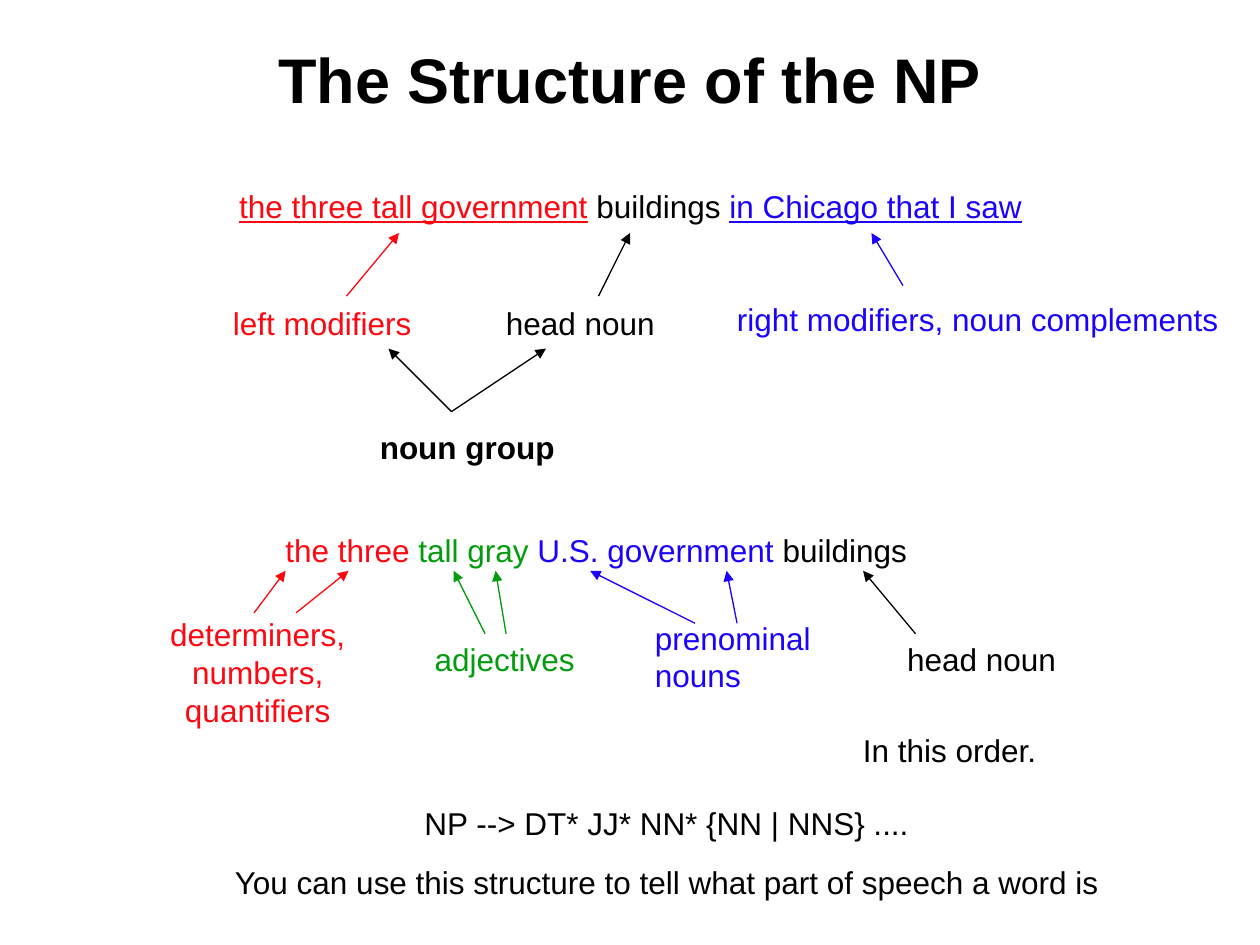
from dataclasses import dataclass
from typing import NamedTuple

from lxml.etree import SubElement
from pptx import Presentation
from pptx.dml.color import RGBColor
from pptx.enum.shapes import MSO_CONNECTOR as Connector
from pptx.enum.text import MSO_ANCHOR as Anchor
from pptx.enum.text import MSO_AUTO_SIZE as AutoSize
from pptx.enum.text import PP_ALIGN as Align
from pptx.oxml.ns import qn
from pptx.slide import Slide
from pptx.util import Pt


@dataclass(frozen=True)
class Theme:
    font: str = "Arial"
    black: str = "000000"
    red: str = "FF0710"
    green: str = "039C0D"
    blue: str = "1B02FF"
    title_size: float = 36
    body_size: float = 18
    line_height: float = 21.6
    inset_height: float = 7.2
    arrow_width: float = 0.75


THEME = Theme()


class Span(NamedTuple):
    text: str
    color: str = THEME.black
    underline: bool = False


class Label(NamedTuple):
    left: float
    top: float
    width: float
    lines: list[list[Span]]
    align: Align = Align.LEFT
    bold: bool = False
    gap: float = 0


class Arrow(NamedTuple):
    start_x: float
    start_y: float
    tip_x: float
    color: str


class ArrowRow(NamedTuple):
    tip_y: float
    arrows: list[Arrow]


def plain(color: str, *texts: str) -> list[list[Span]]:
    return [[Span(text, color)] for text in texts]


LABELS = [
    Label(129.6, 103.4, 463, [[
        Span("the three tall government", THEME.red, True),
        Span(" buildings "),
        Span("in Chicago that I saw", THEME.blue, True),
    ]]),
    Label(126, 170, 118, plain(THEME.red, "left modifiers")),
    Label(414, 167.8, 291, plain(THEME.blue, "right modifiers, noun complements")),
    Label(282, 170, 101, plain(THEME.black, "head noun")),
    Label(210, 241.2, 116, plain(THEME.black, "noun group"), bold=True),
    Label(156, 300, 371, [[
        Span("the three", THEME.red),
        Span(" tall gray ", THEME.green),
        Span("U.S. government", THEME.blue),
        Span(" buildings"),
    ]]),
    Label(89, 348, 116.5, plain(THEME.red, "determiners,", "numbers,", "quantifiers"),
          Align.CENTER),
    Label(241.2, 362, 96, plain(THEME.green, "adjectives")),
    Label(367.2, 350, 105, plain(THEME.blue, "prenominal", "nouns")),
    Label(511.2, 362, 101, plain(THEME.black, "head noun")),
    Label(486, 414, 116, plain(THEME.black, "In this order.")),
    Label(125, 456, 512, plain(
        THEME.black,
        "NP --> DT* JJ* NN* {NN | NNS} ....",
        "You can use this structure to tell what part of speech a word is",
    ), Align.CENTER, gap=12),
]

ARROW_ROWS = [
    ArrowRow(133.2, [
        Arrow(198, 169.2, 228, THEME.red),
        Arrow(342, 169.2, 360, THEME.black),
        Arrow(516, 163.2, 498, THEME.blue),
    ]),
    ArrowRow(199.2, [
        Arrow(258, 235.2, 222, THEME.black),
        Arrow(258, 235.2, 312, THEME.black),
    ]),
    ArrowRow(326.2, [
        Arrow(145.2, 350.2, 163.2, THEME.red),
        Arrow(169.2, 350.2, 199.2, THEME.red),
        Arrow(277.2, 362.2, 259.2, THEME.green),
        Arrow(289.2, 362.2, 283.2, THEME.green),
        Arrow(397.2, 356.2, 337.2, THEME.blue),
        Arrow(421.2, 356.2, 415.2, THEME.blue),
        Arrow(523.2, 362.2, 493.2, THEME.black),
    ]),
]


def draw_title(page: Slide, text: str) -> None:
    box = page.shapes.add_textbox(Pt(54), Pt(0), Pt(612), Pt(90))
    frame = box.text_frame
    frame.word_wrap = True
    frame.vertical_anchor = Anchor.MIDDLE
    para = frame.paragraphs[0]
    para.text = text
    para.alignment = Align.CENTER
    para.font.name = THEME.font
    para.font.size = Pt(THEME.title_size)
    para.font.bold = True
    para.font.color.rgb = RGBColor.from_string(THEME.black)


def draw_label(page: Slide, label: Label) -> None:
    count = len(label.lines)
    height = THEME.inset_height + count * THEME.line_height + (count - 1) * label.gap
    box = page.shapes.add_textbox(
        Pt(label.left), Pt(label.top), Pt(label.width), Pt(height)
    )
    frame = box.text_frame
    frame.word_wrap = False
    frame.auto_size = AutoSize.SHAPE_TO_FIT_TEXT
    for index, spans in enumerate(label.lines):
        para = frame.add_paragraph() if index else frame.paragraphs[0]
        para.alignment = label.align
        para.space_before = Pt(label.gap if index else 0)
        para.font.name = THEME.font
        para.font.size = Pt(THEME.body_size)
        para.font.bold = label.bold
        for span in spans:
            run = para.add_run()
            run.text = span.text
            run.font.underline = span.underline
            run.font.color.rgb = RGBColor.from_string(span.color)


def draw_arrow(page: Slide, arrow: Arrow, tip_y: float) -> None:
    line = page.shapes.add_connector(
        Connector.STRAIGHT,
        Pt(arrow.start_x), Pt(arrow.start_y), Pt(arrow.tip_x), Pt(tip_y),
    )
    line.line.width = Pt(THEME.arrow_width)
    line.line.color.rgb = RGBColor.from_string(arrow.color)
    properties = line._element.spPr
    SubElement(properties.find(qn("a:ln")), qn("a:tailEnd"), type="triangle")
    SubElement(properties, qn("a:effectLst"))


def main() -> None:
    deck = Presentation()
    deck.slide_width, deck.slide_height = Pt(720), Pt(540)
    page = deck.slides.add_slide(deck.slide_layouts[6])
    draw_title(page, "The Structure of the NP")
    for label in LABELS:
        draw_label(page, label)
    for row in ARROW_ROWS:
        for arrow in row.arrows:
            draw_arrow(page, arrow, row.tip_y)
    deck.save("out.pptx")


if __name__ == "__main__":
    main()
